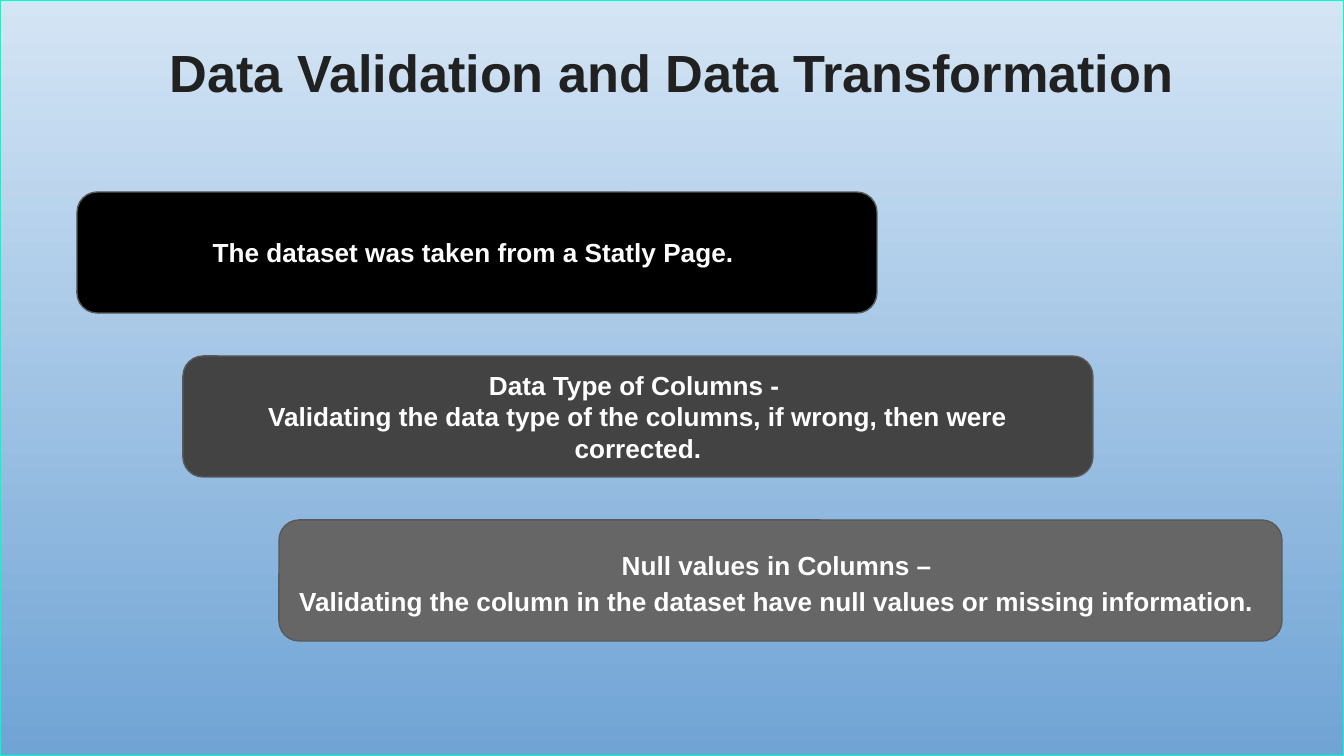
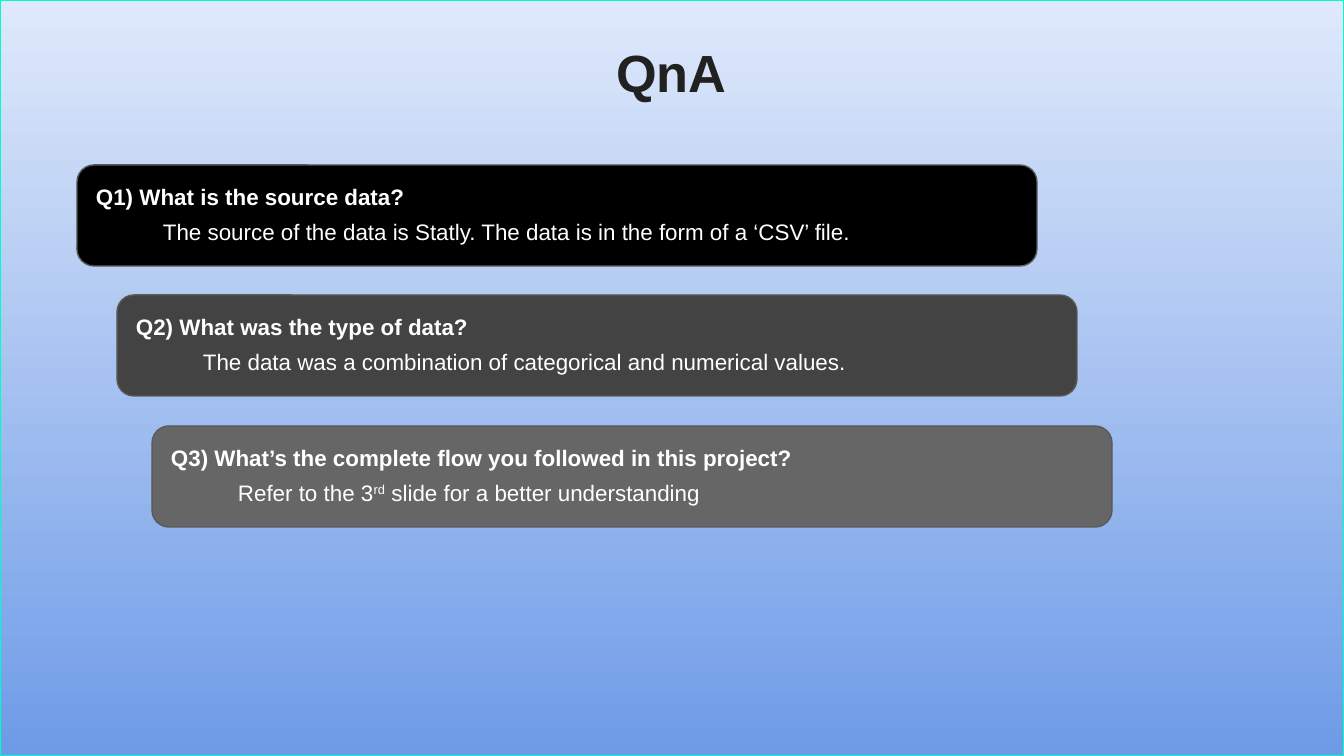
from dataclasses import dataclass

from pptx import Presentation
from pptx.dml.color import RGBColor
from pptx.enum.shapes import MSO_SHAPE
from pptx.enum.text import MSO_ANCHOR, MSO_AUTO_SIZE, PP_ALIGN
from pptx.util import Emu, Pt

EMU_PER_PX = 914400 / 134.4
SLIDE_W, SLIDE_H = 1344, 756
TITLE_ONLY = 5


@dataclass(frozen=True)
class Theme:
    font: str = "Arial"
    title_color: str = "212121"
    text_color: str = "FFFFFF"
    frame_line: str = "00FDC8"
    card_line: str = "595959"
    card_fills: tuple = ("000000", "434343", "666666")
    title_size: int = 28
    card_size: int = 14
    qna_size: int = 12
    line_width: float = 0.75
    inset: int = 14
    corner: float = 0.167


THEME = Theme()
SUPERSCRIPT = 30000
ANSWER_INDENT = 67

# (left, width, line spacing, lines)
VALIDATION_CARDS = [
    (77, 800, 1.0, ["The dataset was taken from a Statly Page. "]),
    (183, 910, 1.0, [
        "Data Type of Columns - ",
        "Validating the data type of the columns, if wrong, then were corrected."]),
    (279, 1003, 1.15, [
        "Null values in Columns – ",
        "Validating the column in the dataset have null values or missing information. "]),
]

# (left, question, answer runs as (text, baseline))
QNA_CARDS = [
    (77, "Q1) What is the source data?",
     [("The source of the data is Statly. The data is in the form of a ‘CSV’ file.", 0)]),
    (117, "Q2) What was the type of data?",
     [("The data was a combination of categorical and numerical values.", 0)]),
    (152, "Q3) What’s the complete flow you followed in this project?",
     [("Refer to the 3", 0), ("rd", SUPERSCRIPT),
      (" slide for a better understanding", 0)]),
]


def px(n):
    return Emu(round(n * EMU_PER_PX))


def rgb(value):
    return RGBColor.from_string(value)


def set_attrs(target, values):
    for name, value in values.items():
        setattr(target, name, value)


# Text
def prepare_frame(tf):
    margins = {f"margin_{side}": px(THEME.inset)
               for side in ("left", "top", "right", "bottom")}
    set_attrs(tf, {"word_wrap": True, "auto_size": MSO_AUTO_SIZE.NONE,
                   "vertical_anchor": MSO_ANCHOR.MIDDLE, **margins})


def add_run(p, text, size, color, bold=True, baseline=0):
    r = p.add_run()
    r.text = text
    set_attrs(r.font, {"name": THEME.font, "size": Pt(size), "bold": bold})
    r.font.color.rgb = rgb(color)
    if baseline:
        r.font._element.set("baseline", str(baseline))


def add_paragraph(tf, first, **formats):
    p = tf.paragraphs[0] if first else tf.add_paragraph()
    set_attrs(p, formats)
    return p


# Shapes
def add_box(slide, kind, left, top, width, height, line):
    sp = slide.shapes.add_shape(kind, px(left), px(top), px(width), px(height))
    sp.shadow.inherit = False
    sp.line.color.rgb = rgb(line)
    sp.line.width = Pt(THEME.line_width)
    return sp


def add_backdrop(slide, colors):
    sp = add_box(slide, MSO_SHAPE.RECTANGLE, 0, 0, SLIDE_W, SLIDE_H,
                 THEME.frame_line)
    sp.fill.gradient()
    sp.fill.gradient_angle = 270
    for stop, color in zip(sp.fill.gradient_stops, colors):
        stop.color.rgb = rgb(color)
    # Send behind the title
    slide.shapes.title._element.addprevious(sp._element)


def add_card(slide, left, top, width, height, fill):
    sp = add_box(slide, MSO_SHAPE.ROUNDED_RECTANGLE, left, top, width, height,
                 THEME.card_line)
    sp.adjustments[0] = THEME.corner
    sp.fill.solid()
    sp.fill.fore_color.rgb = rgb(fill)
    prepare_frame(sp.text_frame)
    return sp.text_frame


def add_titled_slide(prs, title, backdrop):
    slide = prs.slides.add_slide(prs.slide_layouts[TITLE_ONLY])
    sp = slide.shapes.title
    set_attrs(sp, {"left": px(77), "top": px(22),
                   "width": px(1189), "height": px(108)})
    prepare_frame(sp.text_frame)
    p = add_paragraph(sp.text_frame, True, alignment=PP_ALIGN.CENTER,
                      line_spacing=0.9)
    add_run(p, title, THEME.title_size, THEME.title_color)
    add_backdrop(slide, backdrop)
    return slide


# Slides
def build_validation(prs):
    slide = add_titled_slide(prs, "Data Validation and Data Transformation",
                             ("D4E5F5", "70A4D5"))
    for i, (left, width, spacing, lines) in enumerate(VALIDATION_CARDS):
        tf = add_card(slide, left, 192 + 164 * i, width, 121,
                      THEME.card_fills[i])
        for n, text in enumerate(lines):
            p = add_paragraph(tf, n == 0, alignment=PP_ALIGN.CENTER,
                              line_spacing=spacing)
            add_run(p, text, THEME.card_size, THEME.text_color)


def build_qna(prs):
    slide = add_titled_slide(prs, "QnA", ("DFE9FB", "6E9BE7"))
    body = {"alignment": PP_ALIGN.JUSTIFY, "line_spacing": 0.9}
    for i, (left, question, answer) in enumerate(QNA_CARDS):
        tf = add_card(slide, left, 165 + 261 * i // 2, 960, 101,
                      THEME.card_fills[i])
        p = add_paragraph(tf, True, **body)
        add_run(p, question, THEME.qna_size, THEME.text_color)
        p = add_paragraph(tf, False, space_before=Pt(6), space_after=Pt(6),
                          **body)
        pPr = p._p.get_or_add_pPr()
        pPr.set("marL", str(px(ANSWER_INDENT)))
        pPr.set("indent", "0")
        for text, baseline in answer:
            add_run(p, text, THEME.qna_size, THEME.text_color, False, baseline)


def main():
    prs = Presentation()
    set_attrs(prs, {"slide_width": px(SLIDE_W), "slide_height": px(SLIDE_H)})
    build_validation(prs)
    build_qna(prs)
    prs.save("out.pptx")


main()
